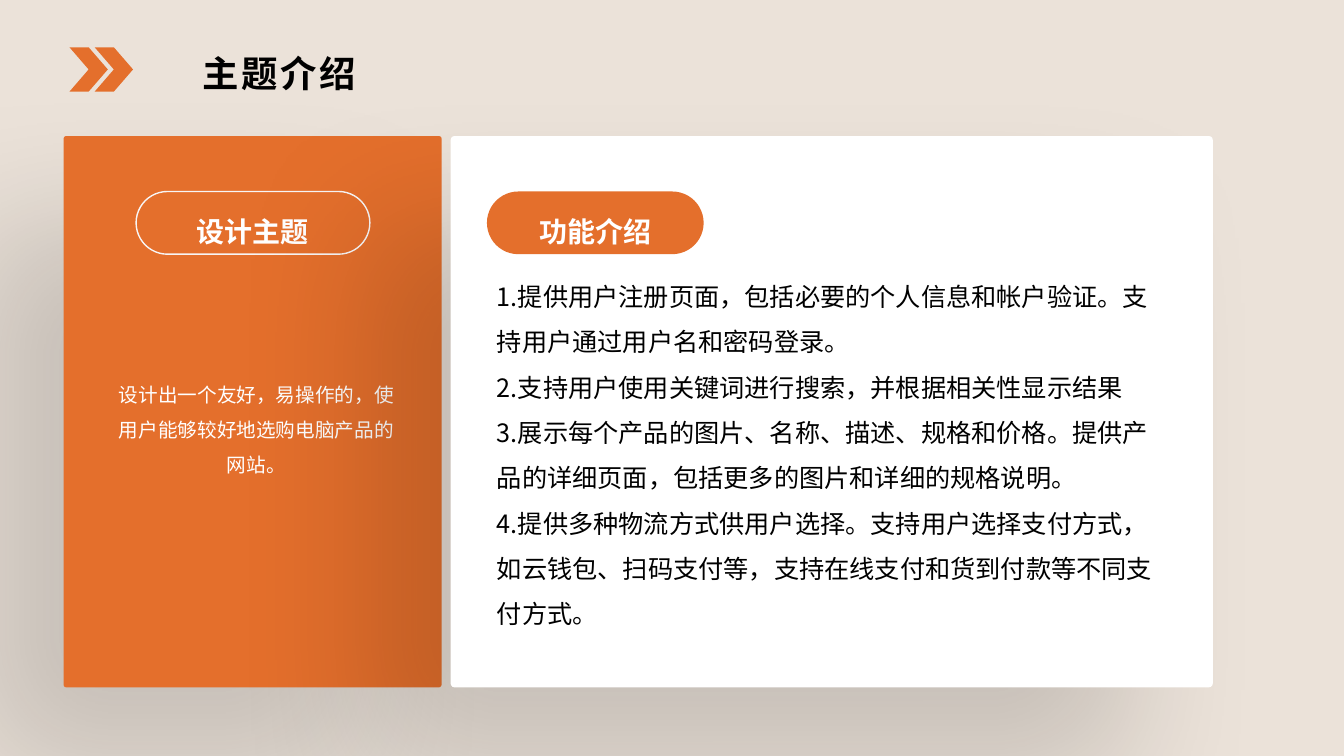
import pptx
import pptx.util
import pptx.dml.color
import pptx.enum.shapes
import pptx.enum.text
import pptx.oxml.ns
from lxml import etree

Pt = pptx.util.Pt
SHAPE = pptx.enum.shapes.MSO_SHAPE
ALIGN = pptx.enum.text.PP_ALIGN
qn = pptx.oxml.ns.qn

FONT = "Noto Sans CJK SC"
COLORS = {
    "sand": "EBE2D9",
    "orange": "E46F2C",
    "white": "FFFFFF",
    "outline": "F8F5F5",
    "black": "000000",
}
FEATURES = [
    "1.提供用户注册页面，包括必要的个人信息和帐户验证。支持用户通过用户名和密码登录。",
    "2.支持用户使用关键词进行搜索，并根据相关性显示结果",
    "3.展示每个产品的图片、名称、描述、规格和价格。提供产品的详细页面，包括更多的图片和详细的规格说明。",
    "4.提供多种物流方式供用户选择。支持用户选择支付方式，如云钱包、扫码支付等，支持在线支付和货到付款等不同支付方式。",
]


def rgb(name):
    return pptx.dml.color.RGBColor.from_string(COLORS[name])


class Deck:
    """Holds the style and the current slide; all lengths are in points."""

    def __init__(self, width, height):
        self.prs = pptx.Presentation()
        self.prs.slide_width, self.prs.slide_height = Pt(width), Pt(height)
        self.s = self.prs.slides.add_slide(self.prs.slide_layouts[6])

    def shape(self, kind, box, fill=None, line=None, adj=None):
        sp = self.s.shapes.add_shape(kind, *map(Pt, box))
        sp.shadow.inherit = False
        if adj is not None:
            sp.adjustments[0] = adj
        if fill:
            sp.fill.solid()
            sp.fill.fore_color.rgb = rgb(fill)
        else:
            sp.fill.background()
        if line:
            sp.line.color.rgb = rgb(line)
            sp.line.width = Pt(1)
        else:
            sp.line.fill.background()
        return sp

    def panel(self, box, fill):
        """Card with a wide soft shadow towards the lower left."""
        sp = self.shape(SHAPE.ROUNDED_RECTANGLE, box, fill, adj=0.007)
        effects = sp._element.spPr.find(qn("a:effectLst"))
        shadow = etree.SubElement(
            effects, qn("a:outerShdw"), blurRad=str(Pt(100)), dist=str(Pt(86)),
            dir=str(135 * 60000), algn="tr", rotWithShape="0")
        color = etree.SubElement(shadow, qn("a:srgbClr"), val=COLORS["black"])
        etree.SubElement(color, qn("a:alpha"), val="15000")

    def pill(self, box, text, fill=None, line=None):
        sp = self.shape(SHAPE.ROUNDED_RECTANGLE, box, fill, line, adj=0.5)
        tf = sp.text_frame
        tf.vertical_anchor = pptx.enum.text.MSO_ANCHOR.MIDDLE
        self.set_text(tf, [text], 20, "white", bold=True, align=ALIGN.CENTER)

    def text(self, box, lines, size, color, **style):
        tf = self.s.shapes.add_textbox(*map(Pt, box)).text_frame
        self.set_text(tf, lines, size, color, **style)
        return tf

    def set_text(self, tf, lines, size, color, bold=False, align=ALIGN.LEFT,
                 line_spacing=1.5, tracking=0):
        tf.word_wrap = True
        tf.text = "\n".join(lines)
        for p in tf.paragraphs:
            p.alignment = align
            p.line_spacing = line_spacing
            for r in p.runs:
                r.font.size = Pt(size)
                r.font.bold = bold
                r.font.color.rgb = rgb(color)
                r.font.name = FONT
                rPr = r._r.get_or_add_rPr()
                etree.SubElement(rPr, qn("a:ea"), typeface=FONT)
                if tracking:
                    rPr.set("spc", str(tracking * 100))


def main():
    deck = Deck(960, 540)

    # Background
    deck.shape(SHAPE.RECTANGLE, (0, 0, 960, 540), "sand")

    # Design theme card
    top, height = 97.2, 393.8
    pill_top, pill_height = 136.8, 44.8
    deck.panel((45.4, top, 270, height), "orange")
    deck.text((72.7, 261.4, 221, 92.2),
              ["设计出一个友好，易操作的，使用户能够较好地选购电脑产品的网站。"],
              14, "white", align=ALIGN.CENTER)
    deck.pill((97.2, pill_top, 167, pill_height), "设计主题", line="outline")

    # Feature card
    deck.panel((321.9, top, 544.4, height), "white")
    deck.text((347.8, 186.5, 494, 203), FEATURES, 18, "black")
    deck.pill((347.8, pill_top, 154.8, pill_height), "功能介绍", fill="orange")

    # Heading
    for i in range(2):
        deck.shape(SHAPE.CHEVRON, (49.6 + 18 * i, 33.8, 27.4, 31.7), "orange")
    tf = deck.text((112.3, 36.7, 174.2, 31.7), ["主题介绍"], 26, "black", bold=True,
                   align=ALIGN.CENTER, line_spacing=1, tracking=2)
    tf.margin_left = tf.margin_right = tf.margin_top = tf.margin_bottom = 0
    tf.auto_size = pptx.enum.text.MSO_AUTO_SIZE.SHAPE_TO_FIT_TEXT

    deck.prs.save("out.pptx")


if __name__ == "__main__":
    main()
